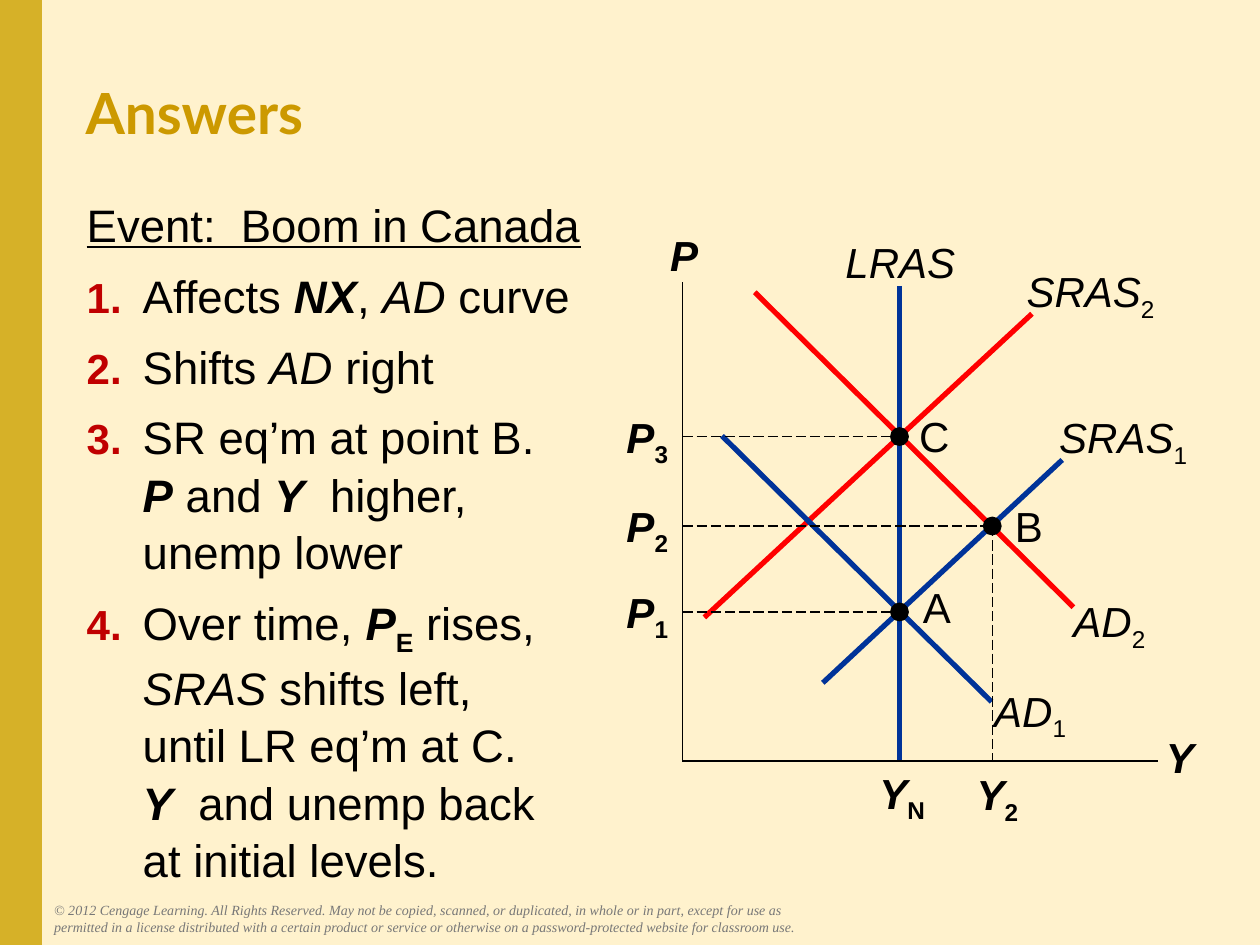
from dataclasses import dataclass

from lxml import etree
from pptx import Presentation
from pptx.dml.color import RGBColor
from pptx.enum.dml import MSO_LINE
from pptx.enum.shapes import MSO_CONNECTOR, MSO_SHAPE
from pptx.enum.text import MSO_ANCHOR, PP_ALIGN
from pptx.oxml.ns import qn
from pptx.util import Pt

STRAIGHT = MSO_CONNECTOR.STRAIGHT
RECTANGLE, OVAL = MSO_SHAPE.RECTANGLE, MSO_SHAPE.OVAL
LONG_DASH = MSO_LINE.LONG_DASH
LEFT, CENTER = PP_ALIGN.LEFT, PP_ALIGN.CENTER
TOP, BOTTOM = MSO_ANCHOR.TOP, MSO_ANCHOR.BOTTOM


@dataclass(frozen=True)
class Theme:
    background: str = "FFF2CD"
    band: str = "D6B128"
    title: str = "CC9900"
    ink: str = "000000"
    number: str = "C00000"
    notice: str = "777777"
    before: str = "003399"
    after: str = "FF0000"
    sans: str = "Arial"
    heading: str = "Lato"
    serif: str = "Times New Roman"
    title_size: float = 32.4
    body_size: float = 26
    label_size: float = 24
    notice_size: float = 8


THEME = Theme()

# Diagram frame and equilibrium points, in points
AXIS_X, AXIS_Y = 390, 434.9
POINT_A, POINT_B, POINT_C = (514, 349.7), (567, 300.6), (514, 249.5)

# Each span is (text, style): b bold, i italic, u underline, s subscript, n number
ANSWERS = [
    [("Event:  Boom in Canada", "u")],
    [("1.\t", "bn"), ("Affects ", ""), ("NX", "bi"), (", ", ""), ("AD", "i"),
     (" curve", "")],
    [("2.\t", "bn"), ("Shifts ", ""), ("AD", "i"), (" right", "")],
    [("3.\t", "bn"), ("SR eq’m at point B.\n", ""), ("P", "bi"), (" and ", ""),
     ("Y", "bi"), ("  higher,\nunemp lower", "")],
    [("4.\t", "bn"), ("Over time, ", ""), ("P", "bi"), ("E", "bs"),
     (" rises,\n", ""), ("SRAS", "i"),
     (" shifts left,\nuntil LR eq’m at C.\n", ""), ("Y", "bi"),
     ("  and unemp back\nat initial levels.", "")],
]
NOTICE = (
    "© 2012 Cengage Learning. All Rights Reserved. May not be copied, scanned, "
    "or duplicated, in whole or in part, except for use as permitted in a license "
    "distributed with a certain product or service or otherwise on a "
    "password-protected website for classroom use."
)


def color(value):
    return RGBColor.from_string(value)


def add_box(page, left, top, width, height, anchor=TOP, inset=True, wrap=True):
    box = page.shapes.add_textbox(Pt(left), Pt(top), Pt(width), Pt(height))
    frame = box.text_frame
    frame.word_wrap = wrap
    frame.vertical_anchor = anchor
    if not inset:
        frame.margin_left = frame.margin_right = 0
        frame.margin_top = frame.margin_bottom = 0
    return frame


def set_font(para, name, size, ink, bold=None, italic=None):
    font = para.font
    font.name, font.size = name, Pt(size)
    font.color.rgb = color(ink)
    font.bold, font.italic = bold, italic


def add_span(para, text, style):
    for index, line in enumerate(text.split("\n")):
        if index:
            para.add_line_break()
        if not line:
            continue
        span = para.add_run()
        span.text = line
        for flag, name in (("b", "bold"), ("i", "italic"), ("u", "underline")):
            if flag in style:
                setattr(span.font, name, True)
        if "s" in style:
            span.font._element.set("baseline", "-25000")
        if "n" in style:
            span.font.size = Pt(THEME.label_size)
            span.font.color.rgb = color(THEME.number)


def add_label(page, left, top, width, spans, inset=True, align=CENTER, wrap=True):
    height = 36 if inset else 28.8
    para = add_box(page, left, top, width, height, inset=inset, wrap=wrap).paragraphs[0]
    para.alignment = align
    set_font(para, THEME.sans, THEME.label_size, THEME.ink)
    for text, style in spans:
        add_span(para, text, style)


def add_line(page, start, end, ink, width, dash=None):
    line = page.shapes.add_connector(STRAIGHT, *(Pt(v) for v in (*start, *end)))
    line.line.color.rgb = color(ink)
    line.line.width = Pt(width)
    if dash:
        line.line.dash_style = dash
    etree.SubElement(line._element.spPr, qn("a:effectLst"))


def add_solid(page, kind, left, top, width, height, ink):
    shape = page.shapes.add_shape(kind, Pt(left), Pt(top), Pt(width), Pt(height))
    shape.shadow.inherit = False
    shape.fill.solid()
    shape.fill.fore_color.rgb = color(ink)
    shape.line.fill.background()


def add_plain_text(page, frame, text, *font):
    para = frame.paragraphs[0]
    para.text = text
    set_font(para, *font)


def add_answers(page):
    frame = add_box(page, 42.5, 107.3, 331.2, 410.4)
    for index, spans in enumerate(ANSWERS):
        para = frame.add_paragraph() if index else frame.paragraphs[0]
        para.line_spacing = 1.05
        if index:
            para.space_before = Pt(7.8)
        properties = para._p.get_or_add_pPr()
        properties.set("marL", str(Pt(32)))
        properties.set("indent", str(Pt(-32)))
        set_font(para, THEME.sans, THEME.body_size, THEME.ink)
        for text, style in spans:
            add_span(para, text, style)


def add_diagram(page):
    # Axes
    add_line(page, (AXIS_X, 161.3), (AXIS_X, AXIS_Y), THEME.ink, 1)
    add_line(page, (AXIS_X, AXIS_Y), (661.7, AXIS_Y), THEME.ink, 1)
    add_label(page, 375.8, 127.4, 30.2, [("P", "bi")])
    add_label(page, 658.1, 414.7, 32.4, [("Y", "bi")])

    # Curves: start, end, colour, name, subscript, label left, top and width
    for start, end, ink, name, number, left, top, width in (
        ((514, 163.4), (514, 434.2), THEME.before, "LRAS", "", 468, 131.8, 92.9),
        ((431.3, 167), (613.4, 347), THEME.after, "AD", "2", 604.8, 337, 58.3),
        ((402.5, 352.8), (589.7, 179.3), THEME.after, "SRAS", "2", 576.7, 148.3, 92.9),
        ((412.6, 249.1), (566.6, 401), THEME.before, "AD", "1", 560.2, 388.1, 56.9),
        ((470.2, 390.2), (607, 262.8), THEME.before, "SRAS", "1", 595.4, 231.8, 92.9),
    ):
        add_line(page, start, end, ink, 3)
        add_label(page, left, top, width, [(name, "i"), (number, "s")])

    # Equilibrium points with price guides
    for name, (x, y), price, left, top in (
        ("A", POINT_A, "1", 522.7, 332.6),
        ("C", POINT_C, "3", 521.3, 234.7),
        ("B", POINT_B, "2", 575.3, 285.8),
    ):
        add_line(page, (AXIS_X, y), (x, y), THEME.ink, 0.75, LONG_DASH)
        add_solid(page, OVAL, x - 5.4, y - 5.4, 10.8, 10.8, THEME.ink)
        add_label(page, 350.8, y - 14.6, 38.2, [("P", "bi"), (price, "bs")], inset=False)
        add_label(page, left, top, 25.2, [(name, "")], inset=False)

    # Output levels
    add_line(page, POINT_B, (POINT_B[0], AXIS_Y), THEME.ink, 0.75, LONG_DASH)
    add_label(page, 495.4, 434.9, 41.8, [("Y", "bi"), ("N", "bs")], align=LEFT, wrap=False)
    add_label(page, 550.8, 439.2, 38.2, [("Y", "bi"), ("2", "bs")], inset=False)


def main():
    deck = Presentation()
    deck.slide_width, deck.slide_height = Pt(720), Pt(540)
    page = deck.slides.add_slide(deck.slide_layouts[6])
    page.background.fill.solid()
    page.background.fill.fore_color.rgb = color(THEME.background)

    add_solid(page, RECTANGLE, 0, 0, 24, 540, THEME.band)
    add_plain_text(page, add_box(page, 41.8, 12.2, 646.6, 74.9, BOTTOM), "Answers",
                   THEME.heading, THEME.title_size, THEME.title, True)
    add_plain_text(page, add_box(page, 23.8, 511.9, 445, 26.6), NOTICE,
                   THEME.serif, THEME.notice_size, THEME.notice, None, True)
    add_diagram(page)
    add_answers(page)
    deck.save("out.pptx")


if __name__ == "__main__":
    main()
